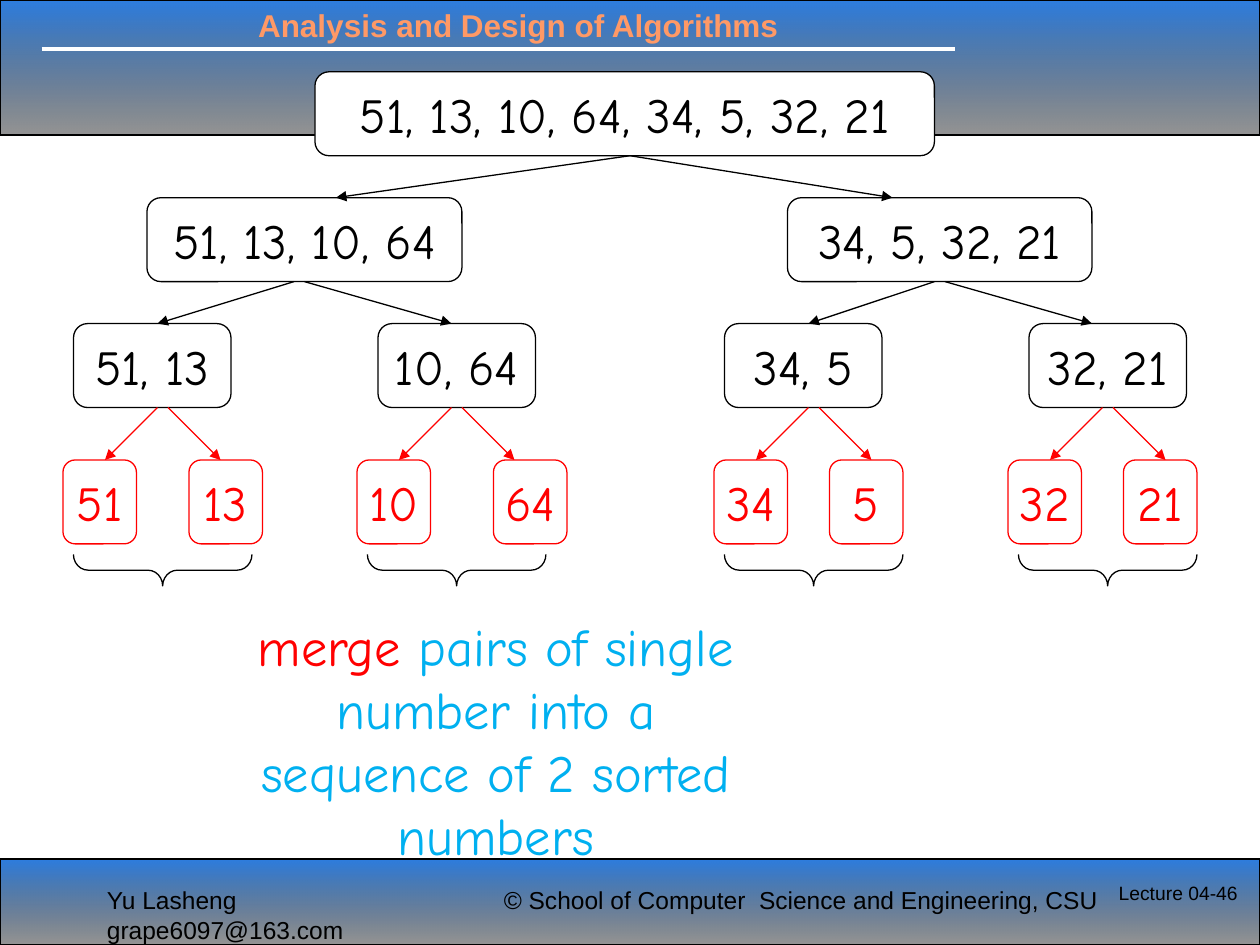
from collections import namedtuple

from lxml import etree
from pptx import Presentation
from pptx import util as u
from pptx.dml.color import RGBColor
from pptx.enum import shapes, text
from pptx.oxml import ns

BLACK = RGBColor(0x00, 0x00, 0x00)
WHITE = RGBColor(0xFF, 0xFF, 0xFF)
BLUE = RGBColor(0x0E, 0x6B, 0xDC)
ORANGE = RGBColor(0xFF, 0x99, 0x66)
RED = RGBColor(0xFF, 0x00, 0x00)
SKY = RGBColor(0x00, 0xB0, 0xF0)

WIDTH, HEIGHT = u.Inches(10), u.Inches(7.5)
COLUMNS, ROWS = 120, 49
NODE_ROWS = 8
BAND_OPACITY = (88, 41)

Box = namedtuple("Box", "left top width height")

LEVELS = [
    (0, BLACK, [(30, 59, "51, 13, 10, 64, 34, 5, 32, 21")]),
    (12, BLACK, [(14, 30, "51, 13, 10, 64"), (75, 29, "34, 5, 32, 21")]),
    (24, BLACK, [(7, 15, "51, 13"), (36, 15, "10, 64"),
                 (69, 15, "34, 5"), (98, 15, "32, 21")]),
    (37, RED, [(6, 7, "51"), (18, 7, "13"), (34, 7, "10"), (47, 7, "64"),
               (68, 7, "34"), (79, 7, "5"), (96, 7, "32"), (107, 7, "21")]),
]
PAIR_COLUMNS = [15, 43, 77, 105]
BRANCHES = [
    [(60, 32), (60, 85)],
    [(28, 15), (29, 43), (89, 77), (90, 104)],
    [branch for column in PAIR_COLUMNS
     for branch in ((column, column - 5), (column + 1, column + 6))],
]
BRACE_COLUMNS = [7, 35, 69, 97]
BRACE_ROW, BRACE_WIDTH, BRACE_ROWS = 46, 17, 3


def share(box, left, top, width, height):
    return Box(int(box.left + box.width * left), int(box.top + box.height * top),
               int(box.width * width), int(box.height * height))


def cell(box, column, row, columns, rows):
    return share(box, column / COLUMNS, row / ROWS, columns / COLUMNS, rows / ROWS)


def add_line(slide, start, end, color, weight, arrow=False):
    line = slide.shapes.add_connector(shapes.MSO_CONNECTOR.STRAIGHT, *start, *end)
    line.line.color.rgb = color
    line.line.width = u.Pt(weight)
    if arrow:
        etree.SubElement(line.line._get_or_add_ln(), ns.qn("a:tailEnd"), type="triangle")
    etree.SubElement(line._element.spPr, ns.qn("a:effectLst"))


def add_outline(slide, kind, box, color):
    shape = slide.shapes.add_shape(kind, *box)
    shape.shadow.inherit = False
    shape.line.color.rgb = color
    shape.line.width = u.Pt(0.75)
    return shape


def add_text(slide, box, runs, size, font, wrap=True, bold=False, align=None):
    shape = slide.shapes.add_textbox(*box)
    frame = shape.text_frame
    frame.word_wrap = wrap
    paragraph = frame.paragraphs[0]
    paragraph.alignment = align
    paragraph.font.size = u.Pt(size)
    paragraph.font.name = font
    paragraph.font.bold = bold
    for words, color in runs:
        run = paragraph.add_run()
        run.text = words
        run.font.color.rgb = color


def add_band(slide, box):
    band = add_outline(slide, shapes.MSO_SHAPE.RECTANGLE, box, BLACK)
    band.fill.gradient()
    band.fill.gradient_angle = 270
    for stop, color in zip(band.fill.gradient_stops, (BLUE, BLACK)):
        stop.color.rgb = color
    colors = band._element.spPr.findall(".//" + ns.qn("a:gs") + "/" + ns.qn("a:srgbClr"))
    for color, opacity in zip(colors, BAND_OPACITY):
        etree.SubElement(color, ns.qn("a:alpha"), val=str(opacity * 1000))


def add_header(slide, box):
    add_band(slide, box)
    rule = share(box, 0.033, 0.364, 0.725, 0)
    add_line(slide, (rule.left, rule.top), (rule.left + rule.width, rule.top), WHITE, 2.25)
    add_text(slide, share(box, 0.195, 0, 0.5, 0.37),
             [("Analysis and Design of Algorithms", ORANGE)], 18, "Arial", bold=True)


def add_footer(slide, box):
    add_band(slide, box)
    add_text(slide, share(box, 0.075, 0.235, 0.321, 0.5),
             [("Yu Lasheng  grape6097@163.com", BLACK)], 14, "Arial", wrap=False)
    add_text(slide, share(box, 0.39, 0.235, 0.512, 0.5),
             [("© School of Computer  Science and Engineering, CSU", BLACK)],
             14, "Arial", wrap=False)
    add_text(slide, share(box, 0.878, 0.19, 0.122, 0.74),
             [("Lecture 04-46", BLACK)], 11, "Arial")


def add_node(slide, box, label, color):
    node = add_outline(slide, shapes.MSO_SHAPE.ROUNDED_RECTANGLE, box, color)
    node.fill.solid()
    node.fill.fore_color.rgb = WHITE
    frame = node.text_frame
    frame.word_wrap = False
    frame.vertical_anchor = text.MSO_ANCHOR.MIDDLE
    paragraph = frame.paragraphs[0]
    paragraph.text = label
    paragraph.alignment = text.PP_ALIGN.CENTER
    paragraph.font.size = u.Pt(28)
    paragraph.font.name = "Comic Neue"
    paragraph.font.color.rgb = color


def add_brace(slide, box):
    left = box.left + (box.width - box.height) // 2
    top = box.top + (box.height - box.width) // 2
    brace = add_outline(slide, shapes.MSO_SHAPE.LEFT_BRACE,
                        (left, top, box.height, box.width), BLACK)
    brace.fill.background()
    brace.adjustments[0] = 0.47
    brace.rotation = 270


def add_tree(slide, box):
    for row, color, nodes in LEVELS:
        for column, columns, label in nodes:
            add_node(slide, cell(box, column, row, columns, NODE_ROWS), label, color)
    for upper, lower, branches in zip(LEVELS, LEVELS[1:], BRANCHES):
        for parent, child in branches:
            start = cell(box, parent, upper[0] + NODE_ROWS, 0, 0)
            end = cell(box, child, lower[0], 0, 0)
            add_line(slide, start[:2], end[:2], lower[1], 0.75, arrow=True)
    for column in BRACE_COLUMNS:
        add_brace(slide, cell(box, column, BRACE_ROW, BRACE_WIDTH, BRACE_ROWS))


def add_caption(slide, box):
    add_text(slide, box,
             [("merge ", RED),
              ("pairs of single number into a sequence of 2 sorted numbers", SKY)],
             30, "Comic Neue", align=text.PP_ALIGN.CENTER)


def main():
    presentation = Presentation()
    presentation.slide_width, presentation.slide_height = WIDTH, HEIGHT
    slide = presentation.slides.add_slide(presentation.slide_layouts[6])
    page = Box(0, 0, WIDTH, HEIGHT)
    add_header(slide, share(page, 0, 0, 1, 0.143))
    add_footer(slide, share(page, 0, 0.909, 1, 0.091))
    add_tree(slide, share(page, 0, 0.076, 1, 0.544))
    add_caption(slide, share(page, 0.192, 0.643, 0.403, 0.283))
    presentation.save("out.pptx")


if __name__ == "__main__":
    main()
